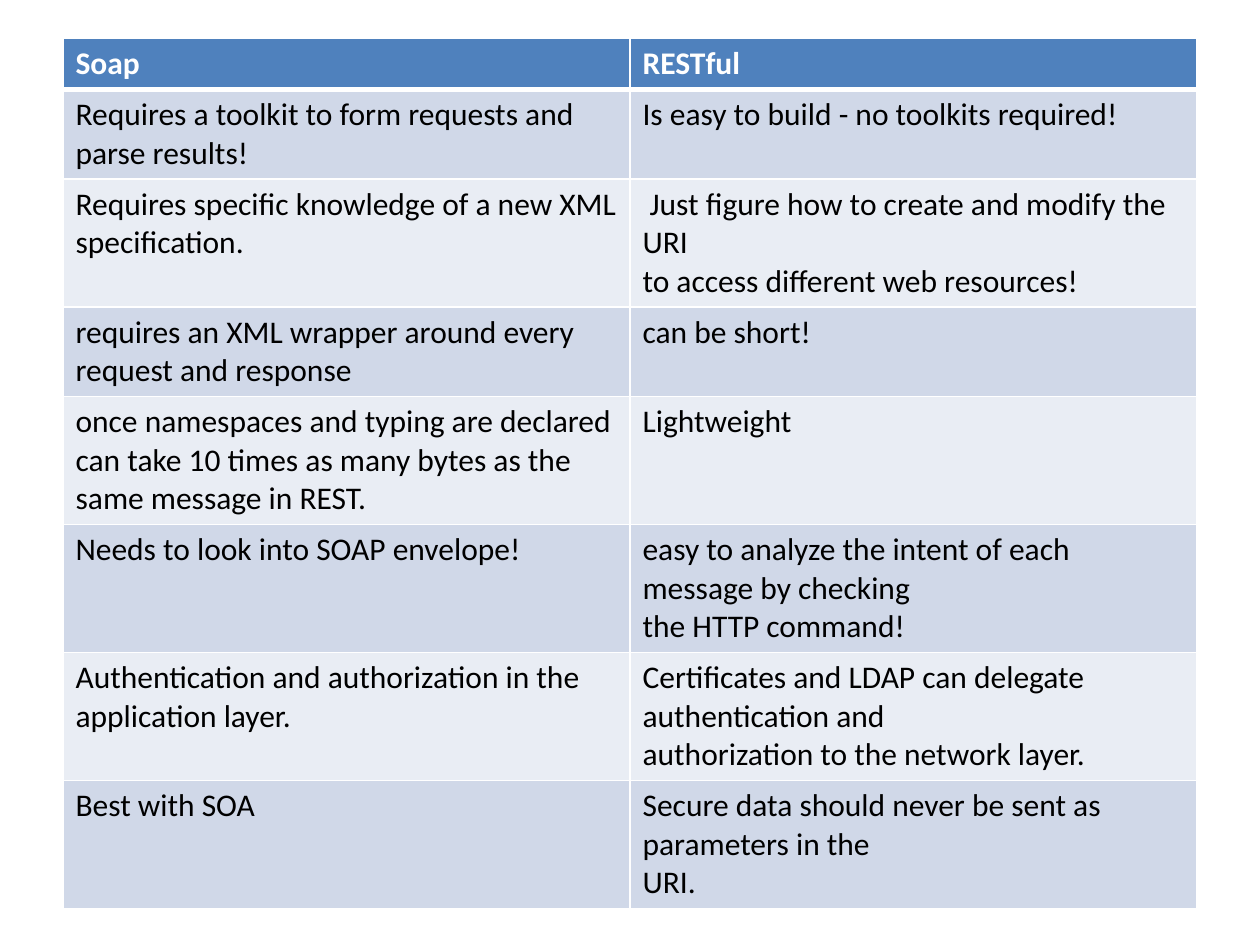
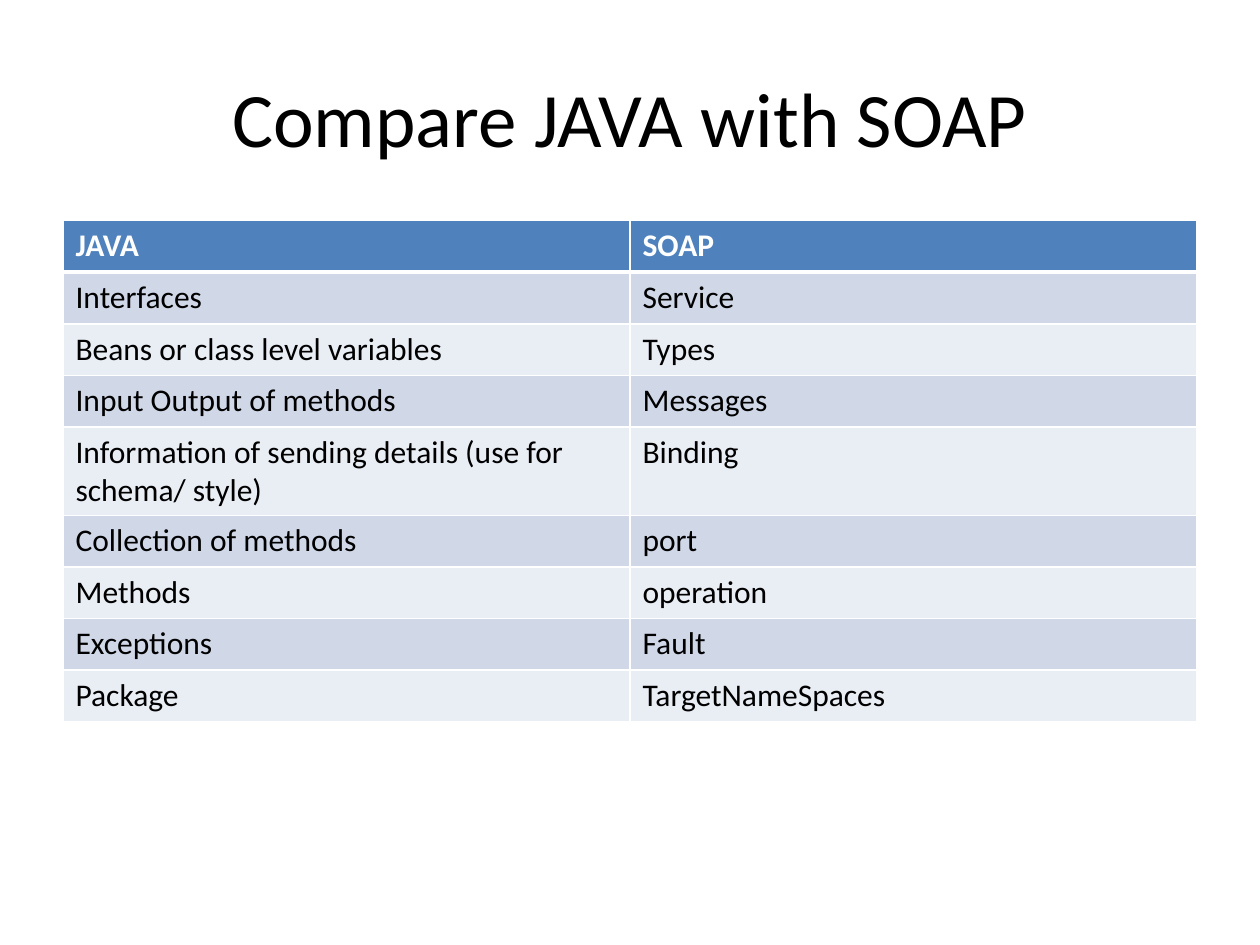
"""Build two slides of comparison tables for SOAP, REST and JAVA."""
from dataclasses import dataclass
from typing import Optional

from lxml import etree
from pptx import Presentation
from pptx.dml.color import RGBColor
from pptx.enum.text import MSO_ANCHOR, PP_ALIGN
from pptx.oxml.ns import qn
from pptx.util import Inches, Pt

MIDDLE = MSO_ANCHOR.MIDDLE
CENTER = PP_ALIGN.CENTER

WHITE = RGBColor(0xFF, 0xFF, 0xFF)
BLACK = RGBColor(0x00, 0x00, 0x00)
HEADER_BLUE = RGBColor(0x4F, 0x81, 0xBD)
DARK_BAND = RGBColor(0xD0, 0xD8, 0xE8)
LIGHT_BAND = RGBColor(0xE9, 0xED, 0xF4)

FONT = "Calibri"
LEFT = Inches(0.5)
TITLE_TOP = Inches(0.3)
TITLE_HEIGHT = Inches(1.25)
CONTENT_WIDTH = Inches(9)
ROW_HEIGHT = Inches(0.41)
THIN = Pt(1)
THICK = Pt(3)


@dataclass(frozen=True)
class Comparison:
    """A two-column comparison, its first row being the header."""
    top: int
    rows: list[tuple[str, str]]
    title: Optional[str] = None


COMPARISONS = [
    Comparison(Inches(0.3), [
        ("Soap", "RESTful"),
        ("Requires a toolkit to form requests and\nparse results!",
         "Is easy to build - no toolkits required!"),
        ("Requires specific knowledge of a new XML\nspecification.",
         " Just figure how to create and modify the URI\n"
         "to access different web resources!"),
        ("requires an XML wrapper around every\nrequest and response",
         "can be short!"),
        ("once namespaces and typing are declared\n"
         "can take 10 times as many bytes as the\nsame message in REST.",
         "Lightweight"),
        ("Needs to look into SOAP envelope!",
         "easy to analyze the intent of each message by checking\n"
         "the HTTP command!"),
        ("Authentication and authorization in the application layer.",
         "Certificates and LDAP can delegate authentication and\n"
         "authorization to the network layer."),
        ("Best with SOA",
         "Secure data should never be sent as parameters in the\nURI."),
    ]),
    Comparison(Inches(1.75), [
        ("JAVA", "SOAP"),
        ("Interfaces", "Service"),
        ("Beans or class level variables", "Types"),
        ("Input Output of methods", "Messages"),
        ("Information of sending details (use for schema/ style)", "Binding"),
        ("Collection of methods", "port"),
        ("Methods", "operation"),
        ("Exceptions", "Fault"),
        ("Package", "TargetNameSpaces"),
    ], "Compare JAVA with SOAP"),
]


def style_text(text_frame, size: int, color: RGBColor, bold: bool = False) -> None:
    """Format every run of a text frame."""
    for paragraph in text_frame.paragraphs:
        for run in paragraph.runs:
            run.font.name = FONT
            run.font.size = Pt(size)
            run.font.bold = bold
            run.font.color.rgb = color


def add_borders(cell, top: int, bottom: int) -> None:
    """Give a cell white borders with the given top and bottom widths."""
    properties = cell._tc.get_or_add_tcPr()
    widths = {"lnL": THIN, "lnR": THIN, "lnT": top, "lnB": bottom}
    for side, width in widths.items():
        border = etree.SubElement(properties, qn(f"a:{side}"), w=str(int(width)))
        fill = etree.SubElement(border, qn("a:solidFill"))
        etree.SubElement(fill, qn("a:srgbClr"), val=str(WHITE))


def fill_cell(cell, text: str, row_index: int) -> None:
    """Write and style a cell according to its row."""
    is_header = row_index == 0
    cell.text_frame.text = text
    style_text(cell.text_frame, 18, WHITE if is_header else BLACK, is_header)
    add_borders(cell, THICK if row_index == 1 else THIN, THICK if is_header else THIN)
    band = DARK_BAND if row_index % 2 else LIGHT_BAND
    cell.fill.solid()
    cell.fill.fore_color.rgb = HEADER_BLUE if is_header else band


def add_title(slide, title: str) -> None:
    """Add the centred slide title."""
    box = slide.shapes.add_textbox(LEFT, TITLE_TOP, CONTENT_WIDTH, TITLE_HEIGHT)
    frame = box.text_frame
    frame.word_wrap = True
    frame.vertical_anchor = MIDDLE
    frame.text = title
    frame.paragraphs[0].alignment = CENTER
    style_text(frame, 44, BLACK)


def add_comparison(slide, comparison: Comparison) -> None:
    """Draw a comparison table with its optional title."""
    if comparison.title:
        add_title(slide, comparison.title)
    row_count = len(comparison.rows)
    table = slide.shapes.add_table(row_count, 2, LEFT, comparison.top,
                                   CONTENT_WIDTH, ROW_HEIGHT * row_count).table
    for row_index, texts in enumerate(comparison.rows):
        for column_index, text in enumerate(texts):
            fill_cell(table.cell(row_index, column_index), text, row_index)


def main() -> None:
    """Build and save the presentation."""
    presentation = Presentation()
    presentation.slide_width = Inches(10)
    presentation.slide_height = Inches(7.5)
    blank_layout = presentation.slide_layouts[6]
    for comparison in COMPARISONS:
        add_comparison(presentation.slides.add_slide(blank_layout), comparison)
    presentation.save("out.pptx")


if __name__ == "__main__":
    main()
